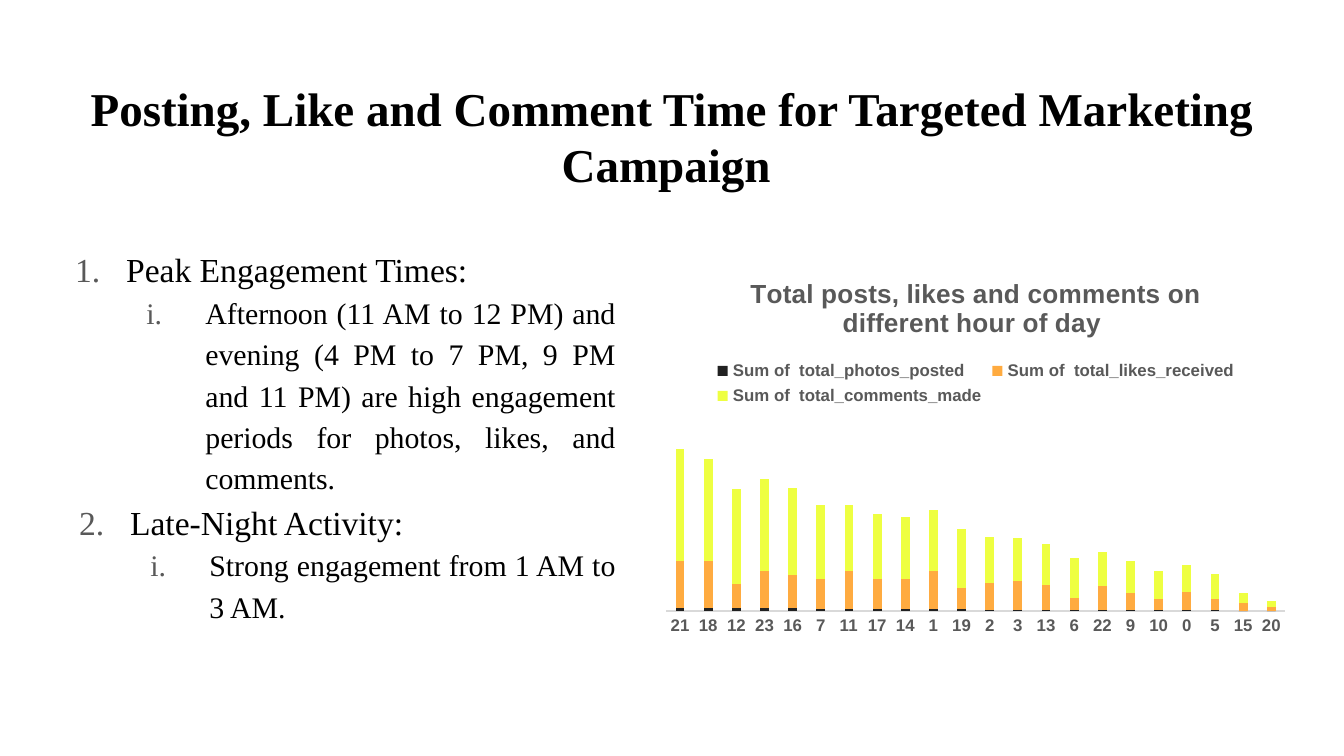
from dataclasses import dataclass

from lxml.etree import SubElement
from pptx import Presentation
from pptx.chart.data import CategoryChartData
from pptx.dml.color import RGBColor
from pptx.enum.chart import XL_CHART_TYPE as ChartType
from pptx.enum.chart import XL_LEGEND_POSITION as LegendPosition
from pptx.enum.chart import XL_TICK_LABEL_POSITION as LabelPosition
from pptx.enum.chart import XL_TICK_MARK as TickMark
from pptx.enum.text import MSO_ANCHOR as Anchor
from pptx.enum.text import PP_ALIGN as Align
from pptx.oxml.ns import qn
from pptx.slide import Slide
from pptx.text.text import Font, TextFrame, _Paragraph as Paragraph
from pptx.util import Inches, Pt


@dataclass(frozen=True)
class Theme:
    serif: str = "Times New Roman"
    sans: str = "Arial"
    ink: str = "000000"
    muted: str = "595959"
    axis: str = "D9D9D9"
    title_size: float = 25.2
    heading_size: float = 18
    detail_size: float = 16
    chart_title_size: float = 14
    chart_size: float = 10
    label_size: float = 9


@dataclass(frozen=True)
class Box:
    left: float
    top: float
    width: float
    height: float

    def lengths(self) -> tuple:
        return tuple(map(Inches, (self.left, self.top, self.width, self.height)))


@dataclass(frozen=True)
class ListItem:
    text: str
    level: int
    margin: float


@dataclass(frozen=True)
class Series:
    name: str
    color: str
    values: tuple


THEME = Theme()
SLIDE_WIDTH = 10
SLIDE_HEIGHT = SLIDE_WIDTH * 9 / 16
TITLE_BOX = Box(0.34, 0.49, 9.32, 0.63)
LIST_BOX = Box(0.34, 1.71, 4.34, 3.29)
CHART_BOX = Box(4.86, 1.91, 4.8, 2.88)

LIST_ITEMS = (
    ListItem("Peak Engagement Times:", 0, 0.5),
    ListItem(
        "Afternoon (11 AM to 12 PM) and evening (4 PM to 7 PM, 9 PM and 11 PM) "
        "are high engagement periods for photos, likes, and comments.", 1, 1.09),
    ListItem("Late-Night Activity:", 0, 0.53),
    ListItem("Strong engagement from 1 AM to 3 AM.", 1, 1.12),
)
LEVELS = (
    ("arabicPeriod", -0.38, THEME.heading_size),
    ("romanLcPeriod", -0.44, THEME.detail_size),
)

HOURS = "21 18 12 23 16 7 11 17 14 1 19 2 3 13 6 22 9 10 0 5 15 20".split()
SERIES = (
    Series("Sum of  total_photos_posted", "212121",
           (3, 3, 3, 3, 3, 2, 2, 2, 2, 2, 2, 1, 1, 1, 1, 1, 1, 1, 1, 1, 0, 0)),
    Series("Sum of  total_likes_received", "FFAB40",
           (42, 42, 21, 33, 29, 27, 34, 27, 27, 34, 19,
            24, 26, 22, 11, 21, 15, 10, 16, 10, 7, 4)),
    Series("Sum of  total_comments_made", "EEFF41",
           (100, 91, 85, 82, 78, 66, 59, 58, 55, 54, 52,
            41, 38, 37, 35, 31, 29, 25, 24, 22, 9, 5)),
)


def set_font(font: Font, name: str, size: float, color: str, bold: bool = False) -> None:
    for key, value in {"name": name, "size": Pt(size), "bold": bold}.items():
        setattr(font, key, value)
    font.color.rgb = RGBColor.from_string(color)


def add_text_frame(slide: Slide, box: Box) -> TextFrame:
    frame = slide.shapes.add_textbox(*box.lengths()).text_frame
    sides = ("left", "top", "right", "bottom")
    settings = {f"margin_{side}": Inches(0.1) for side in sides}
    settings |= {"word_wrap": True, "vertical_anchor": Anchor.TOP}
    for key, value in settings.items():
        setattr(frame, key, value)
    return frame


def add_numbering(paragraph: Paragraph, scheme: str, margin: float, indent: float) -> None:
    properties = paragraph._p.get_or_add_pPr()
    properties.set("marL", str(Inches(margin)))
    properties.set("indent", str(Inches(indent)))
    color = SubElement(properties, qn("a:buClr"))
    SubElement(color, qn("a:srgbClr"), val=THEME.muted)
    SubElement(properties, qn("a:buFont"), typeface=THEME.serif)
    SubElement(properties, qn("a:buAutoNum"), type=scheme)


def add_title(slide: Slide, text: str) -> None:
    paragraph = add_text_frame(slide, TITLE_BOX).paragraphs[0]
    paragraph.alignment = Align.CENTER
    run = paragraph.add_run()
    run.text = text
    set_font(run.font, THEME.serif, THEME.title_size, THEME.ink, True)


def add_list(slide: Slide) -> None:
    frame = add_text_frame(slide, LIST_BOX)
    for index, item in enumerate(LIST_ITEMS):
        paragraph = frame.add_paragraph() if index else frame.paragraphs[0]
        scheme, indent, size = LEVELS[item.level]
        settings = {"alignment": Align.JUSTIFY, "level": item.level, "line_spacing": 1.15}
        for key, value in settings.items():
            setattr(paragraph, key, value)
        add_numbering(paragraph, scheme, item.margin, indent)
        run = paragraph.add_run()
        run.text = item.text
        set_font(run.font, THEME.serif, size, THEME.ink)


def add_hour_chart(slide: Slide, title: str) -> None:
    data = CategoryChartData()
    data.categories = HOURS
    for series in SERIES:
        data.add_series(series.name, series.values)
    chart = slide.shapes.add_chart(
        ChartType.COLUMN_STACKED, *CHART_BOX.lengths(), data).chart
    set_font(chart.font, THEME.sans, THEME.chart_size, THEME.ink)

    chart.has_title = True
    paragraph = chart.chart_title.text_frame.paragraphs[0]
    run = paragraph.add_run()
    run.text = title
    set_font(run.font, THEME.sans, THEME.chart_title_size, THEME.muted, True)
    chart.chart_title.include_in_layout = False

    chart.has_legend = True
    chart.legend.position = LegendPosition.TOP
    chart.legend.include_in_layout = False
    category_axis = chart.category_axis
    for font in (chart.legend.font, category_axis.tick_labels.font):
        set_font(font, THEME.sans, THEME.label_size, THEME.muted, True)

    category_axis.major_tick_mark = TickMark.NONE
    category_axis.tick_label_position = LabelPosition.NEXT_TO_AXIS
    category_axis.format.line.color.rgb = RGBColor.from_string(THEME.axis)
    category_axis.format.line.width = Pt(0.75)
    value_settings = {"visible": False, "has_major_gridlines": False,
                      "major_tick_mark": TickMark.NONE,
                      "minimum_scale": 0, "maximum_scale": 172}
    for key, value in value_settings.items():
        setattr(chart.value_axis, key, value)

    plot = chart.plots[0]
    for key, value in {"gap_width": 219, "overlap": 100, "vary_by_categories": False}.items():
        setattr(plot, key, value)
    for drawn, series in zip(plot.series, SERIES):
        drawn.format.fill.solid()
        drawn.format.fill.fore_color.rgb = RGBColor.from_string(series.color)


def main() -> None:
    presentation = Presentation()
    presentation.slide_width = Inches(SLIDE_WIDTH)
    presentation.slide_height = Inches(SLIDE_HEIGHT)
    slide = presentation.slides.add_slide(presentation.slide_layouts[6])
    add_title(slide, "Posting, Like and Comment Time for Targeted Marketing Campaign ")
    add_list(slide)
    add_hour_chart(slide, "Total posts, likes and comments on different hour of day ")
    presentation.save("out.pptx")


if __name__ == "__main__":
    main()
